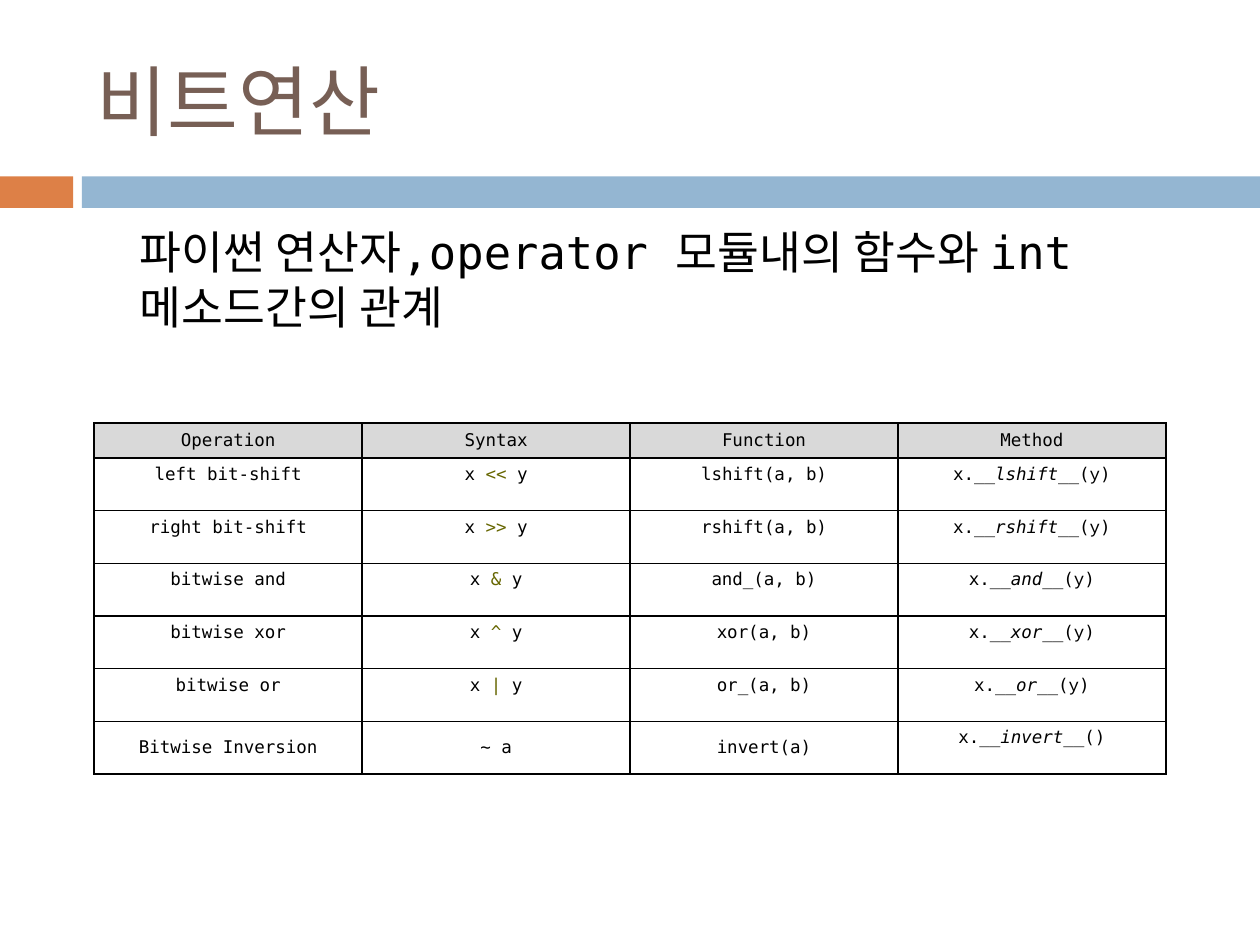
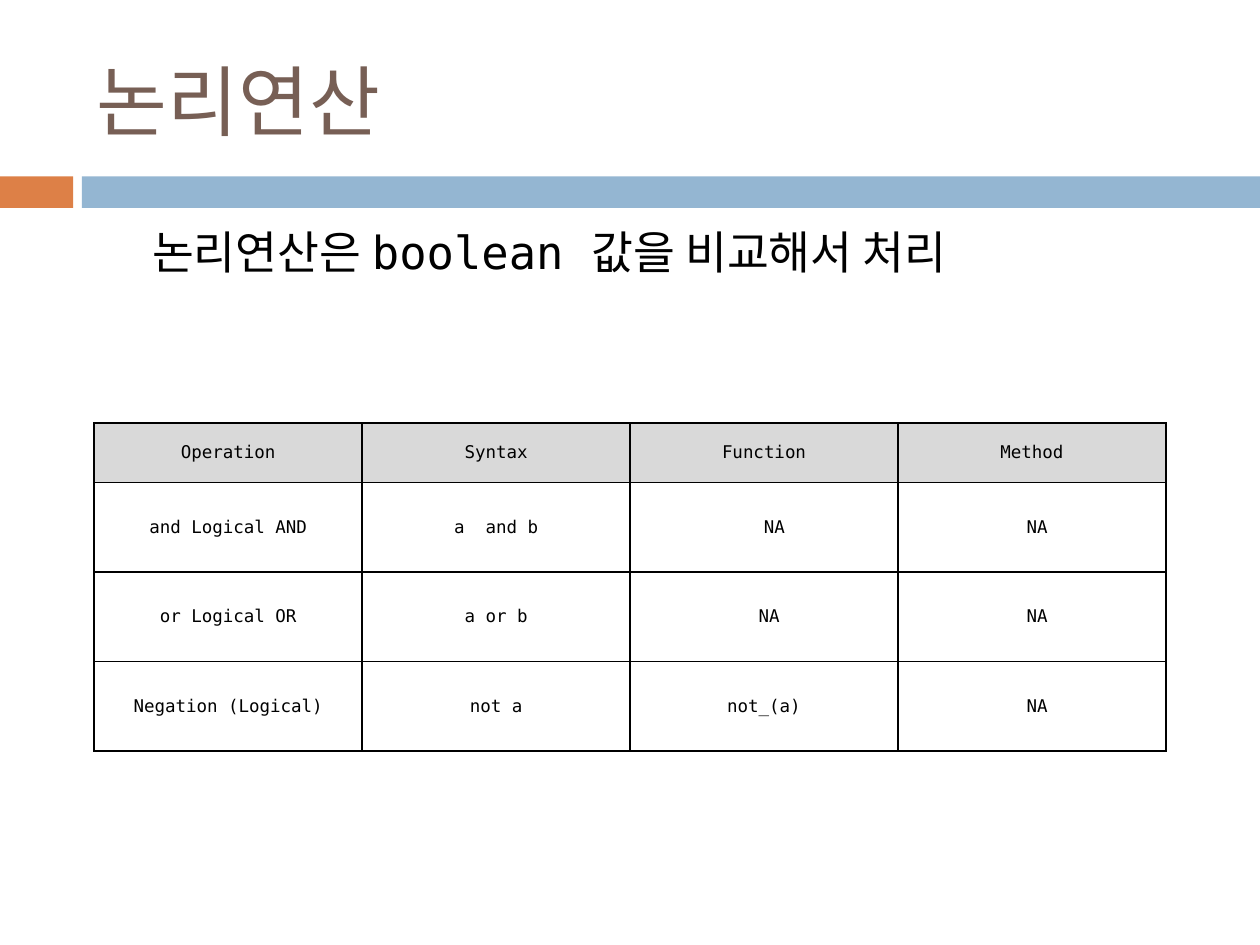
"""Build two slides on Python's bitwise and logical operators."""
from lxml.etree import SubElement
from pptx import Presentation
from pptx.dml.color import RGBColor
from pptx.enum.shapes import MSO_SHAPE
from pptx.enum.text import MSO_ANCHOR, MSO_AUTO_SIZE, PP_ALIGN
from pptx.oxml.ns import qn
from pptx.util import Pt

RECT = MSO_SHAPE.RECTANGLE
TOP, MID = MSO_ANCHOR.TOP, MSO_ANCHOR.MIDDLE
NOFIT = MSO_AUTO_SIZE.NONE
LEFT, CENTER = PP_ALIGN.LEFT, PP_ALIGN.CENTER
MONO = "DejaVu Sans Mono"
HEX = {"brown": "775F55", "orange": "DD8047", "blue": "94B6D2",
       "black": "000000", "gray": "D9D9D9", "olive": "666600"}
RGB = {name: RGBColor.from_string(code) for name, code in HEX.items()}

BANDS = [(0, 41.9, "orange"), (46.8, 673.2, "blue")]
TITLE = {"left": Pt(48.2), "top": Pt(18), "width": Pt(642), "height": Pt(77.8)}
BODY = {"left": Pt(36.7), "top": Pt(124.6), "width": Pt(648), "height": Pt(72)}
FRAME = {"auto_size": NOFIT, "word_wrap": True}
TIGHT = {"vertical_anchor": MID, "margin_left": Pt(1.4), "margin_right": Pt(1.4),
         "margin_top": Pt(0.7), "margin_bottom": Pt(0.7)}
LOOSE = {"vertical_anchor": TOP, "margin_left": Pt(7.2), "margin_right": Pt(7.2),
         "margin_top": Pt(3.6), "margin_bottom": Pt(3.6)}
HEAD = ["Operation", "Syntax", "Function", "Method"]
ITALIC = {"italic": True}

BITS = [
    ("left bit-shift", "<<", "lshift", "lshift"),
    ("right bit-shift", ">>", "rshift", "rshift"),
    ("bitwise and", "&", "and_", "and"),
    ("bitwise xor", "^", "xor", "xor"),
    ("bitwise or", "|", "or_", "or"),
]
bit_rows = [HEAD]
for label, sign, func, meth in BITS:
    bit_rows.append([
        label,
        [("x ", {}), (sign, {"color": "olive"}), (" y", {})],
        f"{func}(a, b)",
        [("x.", {}), (f"__{meth}__", ITALIC), ("(", {}),
         ("y", {"name": "Courier New"}), (")", {})],
    ])
bit_rows.append(["Bitwise Inversion", "~ a", "invert(a)",
                 [("x.", {}), ("__invert__", ITALIC), ("()", {})]])
logic_rows = [
    HEAD,
    ["and Logical AND", "a  and b", "NA", "NA"],
    ["or Logical OR", "a or b", "NA", "NA"],
    ["Negation (Logical)", "not a", "not_(a)", "NA"],
]
bit_loose = {(row, col) for row in range(1, 6) for col in range(4)} | {(6, 3)}

SLIDES = [
    {"title": "비트연산", "indent": 36, "rows": bit_rows, "loose": bit_loose,
     "body": "파이썬 연산자,operator 모듈내의 함수와 int 메소드간의 관계",
     "high": (20, 30.1), "shift": {}},
    {"title": "논리연산", "indent": 43, "rows": logic_rows, "loose": set(),
     "body": "논리연산은 boolean 값을 비교해서 처리",
     "high": (34, 51.1),
     "shift": {(1, 2): 12, (1, 3): 6, (2, 2): 6, (2, 3): 6, (3, 3): 6}},
]


def write(para, runs, size, color="black"):
    if isinstance(runs, str):
        runs = [(runs, {})]
    for text, extra in runs:
        run = para.add_run()
        run.text = text
        look = {"name": MONO, "size": Pt(size), "bold": False, "color": color, **extra}
        run.font.color.rgb = RGB[look.pop("color")]
        for key, val in look.items():
            setattr(run.font, key, val)


def border(cell):
    props = cell._tc.get_or_add_tcPr()
    for side in ("lnL", "lnR", "lnT", "lnB"):
        line = SubElement(props, qn(f"a:{side}"), w=str(Pt(1)))
        fill = SubElement(line, qn("a:solidFill"))
        SubElement(fill, qn("a:srgbClr"), val=HEX["black"])


deck = Presentation()
deck.slide_width, deck.slide_height = Pt(720), Pt(540)

for data in SLIDES:
    slide = deck.slides.add_slide(deck.slide_layouts[1])
    title, body = slide.shapes.title, slide.placeholders[1]
    for holder, place in ((title, TITLE), (body, BODY)):
        for key, val in place.items():
            setattr(holder, key, val)
        for key, val in FRAME.items():
            setattr(holder.text_frame, key, val)

    title.text_frame.vertical_anchor = MID
    para = title.text_frame.paragraphs[0]
    para.alignment = LEFT
    write(para, data["title"], 44, "brown")

    para = body.text_frame.paragraphs[0]
    para.level = 1
    props = para._p.get_or_add_pPr()
    props.set("marL", str(Pt(data["indent"])))
    props.set("indent", "0")
    SubElement(props, qn("a:buNone"))
    para.space_before = Pt(0)
    write(para, data["body"], 26)

    for left, width, color in BANDS:
        band = slide.shapes.add_shape(RECT, Pt(left), Pt(100.8), Pt(width), Pt(18))
        band.shadow.inherit = False
        band.fill.solid()
        band.fill.fore_color.rgb = RGB[color]
        band.line.fill.background()

    rows = data["rows"]
    first, rest = data["high"]
    total = first + rest * (len(rows) - 1)
    table = slide.shapes.add_table(len(rows), len(HEAD), Pt(53.8), Pt(241.8),
                                   Pt(612.4), Pt(total)).table
    table.first_row = table.horz_banding = False
    for col in table.columns:
        col.width = Pt(153.1)
    for row, texts in enumerate(rows):
        table.rows[row].height = Pt(rest if row else first)
        for col, runs in enumerate(texts):
            cell = table.cell(row, col)
            spot = (row, col)
            for key, val in (LOOSE if spot in data["loose"] else TIGHT).items():
                setattr(cell, key, val)
            cell.margin_left += Pt(data["shift"].get(spot, 0))
            border(cell)
            if row:
                cell.fill.background()
            else:
                cell.fill.solid()
                cell.fill.fore_color.rgb = RGB["gray"]
            para = cell.text_frame.paragraphs[0]
            para.alignment = CENTER
            write(para, runs, 10)

deck.save("out.pptx")
